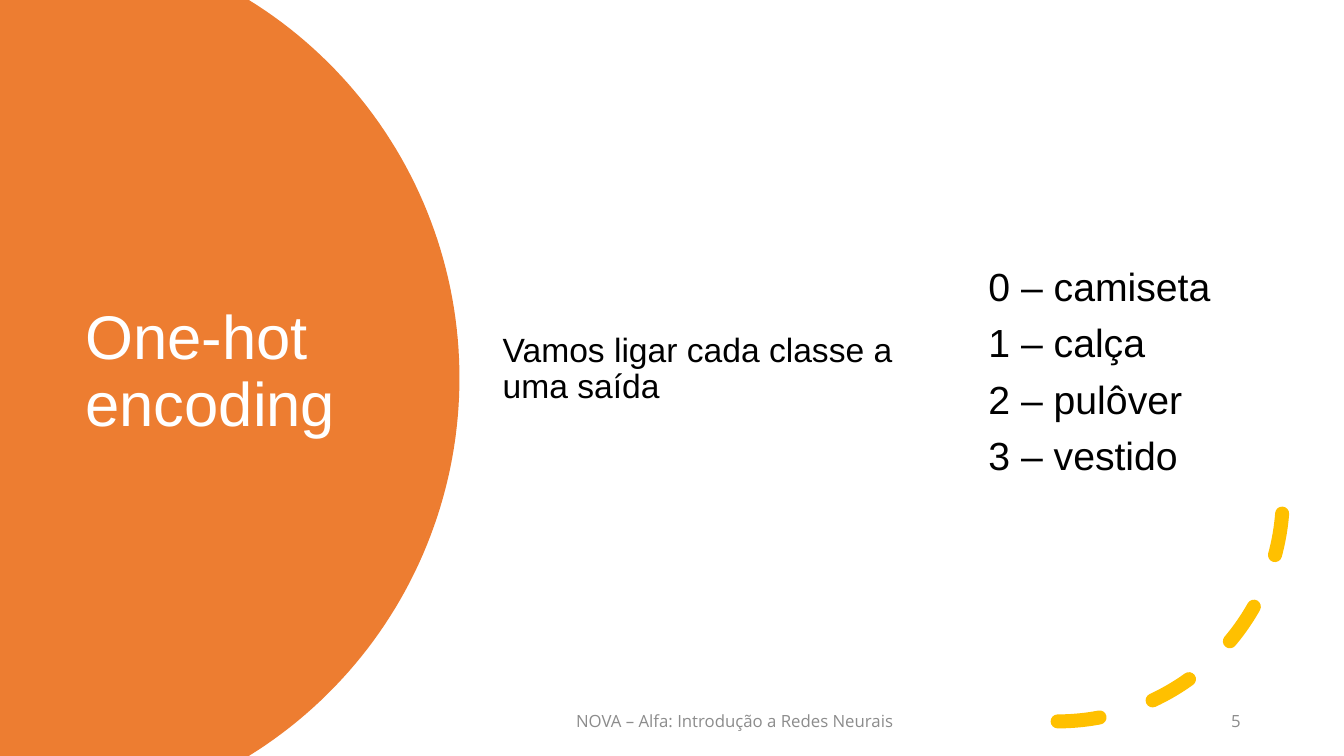
from math import asin, cos, sin

from lxml import etree
from pptx import Presentation
from pptx.dml.color import RGBColor
from pptx.enum.dml import MSO_LINE
from pptx.enum.shapes import MSO_SHAPE
from pptx.enum.text import MSO_ANCHOR, PP_ALIGN
from pptx.util import Cm, Pt

ARC = MSO_SHAPE.ARC
DASH = MSO_LINE.DASH
MIDDLE = MSO_ANCHOR.MIDDLE
LEFT, CENTER, RIGHT = PP_ALIGN.LEFT, PP_ALIGN.CENTER, PP_ALIGN.RIGHT

WIDE, HIGH = 33.87, 19.05
ORANGE, YELLOW = "ED7D31", "FFC000"
WHITE, BLACK, GREY = "FFFFFF", "000000", "8C8C8C"
ITEMS = ["camiseta", "calça", "pulôver", "vestido"]


def color(code):
    return RGBColor.from_string(code)


def add_text(slide, box, lines, size, code, font="Arial",
             align=LEFT, space=0.9, before=0, after=0):
    frame = slide.shapes.add_textbox(*map(Cm, box)).text_frame
    frame.word_wrap = True
    frame.vertical_anchor = MIDDLE
    frame.text = "\n".join(lines)
    for para in frame.paragraphs:
        para.alignment = align
        para.line_spacing = space
        para.space_before = Pt(before)
        para.space_after = Pt(after)
        para.font.name = font
        para.font.size = Pt(size)
        para.font.color.rgb = color(code)


def add_panel(slide, box):
    """Round panel, cut off by the slide edges, with the title on it."""
    left, top, width, height = box
    radius, steps = 11.2, 90
    mid_x, mid_y = left + width - radius, top + height / 2
    limit = asin(height / 2 / radius)
    angles = [limit * (2 * i / steps - 1) for i in range(steps + 1)]
    curve = [(Cm(mid_x + radius * cos(a)), Cm(mid_y + radius * sin(a)))
             for a in angles]
    build = slide.shapes.build_freeform(Cm(left), Cm(top))
    build.add_line_segments(curve + [(Cm(left), Cm(top + height))], close=True)
    panel = build.convert_to_shape()
    panel.shadow.inherit = False
    panel.fill.solid()
    panel.fill.fore_color.rgb = color(ORANGE)
    panel.line.fill.background()
    add_text(slide, (left + 1.9, top + 3.2, 8.9, 12.4),
             ["One-hot encoding"], 44, WHITE)


def add_arc(slide, box):
    """Dashed quarter circle in the lower right corner."""
    arc = slide.shapes.add_shape(ARC, *map(Cm, box))
    arc.shadow.inherit = False
    arc.fill.background()
    arc.line.color.rgb = color(YELLOW)
    arc.line.width = Pt(10)
    arc.line.dash_style = DASH
    # Round dash ends, and a flip that turns the arc downwards
    props = arc.element.spPr
    props.xfrm.set("flipV", "1")
    line = props.ln
    line.set("cap", "rnd")
    etree.SubElement(line, line.tag.replace("}ln", "}round"))


def add_body(slide, box):
    """Statement on the left, numbered classes on the right."""
    left, top, width, height = box
    add_text(slide, (left, top + 3.94, 11.18, 7.44),
             ["Vamos ligar cada classe a uma saída"], 24, BLACK, before=10)
    classes = [f"{i} – {name}" for i, name in enumerate(ITEMS)]
    add_text(slide, (left + width - 6.76, top, 6.76, height),
             classes, 28, BLACK, before=10)


def add_footer(slide, box):
    """Course name and slide number."""
    left, top, width, height = box
    style = {"font": "Open Sans", "space": 1, "after": 6}
    add_text(slide, (left, top, 14.58, height),
             ["NOVA – Alfa: Introdução a Redes Neurais"], 12, GREY,
             align=CENTER, **style)
    add_text(slide, (left + width - 5.03, top, 5.03, height),
             ["5"], 12, GREY, align=RIGHT, **style)


def main():
    deck = Presentation()
    deck.slide_width, deck.slide_height = Cm(WIDE), Cm(HIGH)
    slide = deck.slides.add_slide(deck.slide_layouts[6])
    add_panel(slide, (0, 0, 11.58, HIGH))
    add_arc(slide, (20.98, 6.83, 11.35, 11.35))
    add_body(slide, (12.42, 1.65, 19, 15.52))
    add_footer(slide, (11.23, 17.65, 20.29, 1.02))
    deck.save("out.pptx")


if __name__ == "__main__":
    main()
